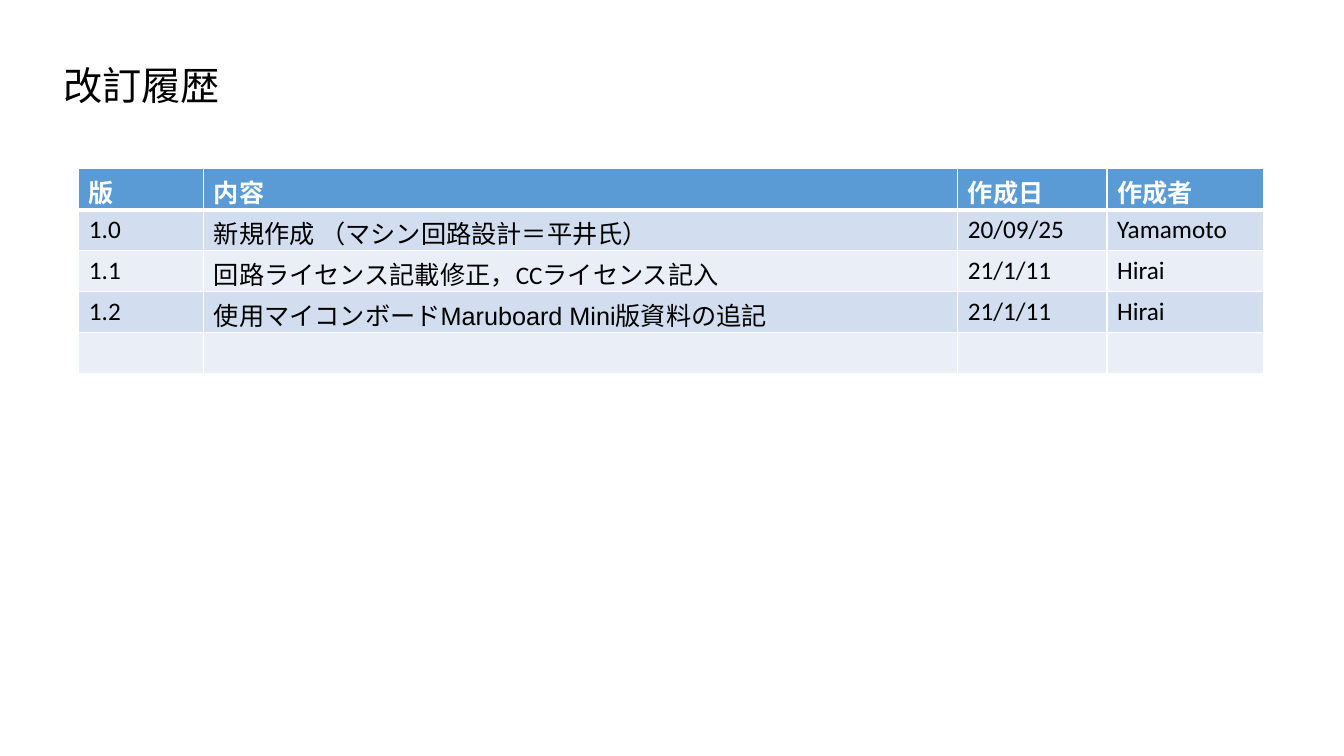
from lxml import etree
from pptx import Presentation
from pptx import util as u
from pptx.dml.color import RGBColor
from pptx.enum import text
from pptx.oxml.ns import qn

Pt = u.Pt

BLACK, WHITE = "000000", "FFFFFF"
HEADER_FILL = "5B9BD5"
BAND_FILLS = ("D2DEEF", "EAEFF7")

COLUMN_WIDTHS = (89.3, 538.6, 106.6, 111.6)
ROW_HEIGHT = 29.3
REVISIONS = (
    ("版", "内容", "作成日", "作成者"),
    ("1.0", "新規作成 （マシン回路設計＝平井氏）", "20/09/25", "Yamamoto"),
    ("1.1", "回路ライセンス記載修正，CCライセンス記入", "21/1/11", "Hirai"),
    ("1.2", "使用マイコンボードMaruboard Mini版資料の追記", "21/1/11", "Hirai"),
    ("", "", "", ""),
)
PRODUCT_ENTRY = (3, 1)


def rgb(hex_string):
    return RGBColor.from_string(hex_string)


def write(frame, words, size=18, font="Calibri", color=BLACK, bold=False):
    paragraph = frame.paragraphs[0]
    paragraph.font.size = Pt(size)
    if not words:
        return
    run = paragraph.add_run()
    run.text = words
    run.font.size = Pt(size)
    run.font.name = font
    run.font.bold = bold
    run.font.color.rgb = rgb(color)


def add_heading(slide, words):
    heading = slide.shapes.add_textbox(Pt(38.2), Pt(40.3), Pt(127.4), Pt(41))
    frame = heading.text_frame
    frame.word_wrap = False
    frame.auto_size = text.MSO_AUTO_SIZE.SHAPE_TO_FIT_TEXT
    write(frame, words, size=28)


def set_borders(cell, **widths):
    """Draw white borders; keys are the edges L, R, T and B in schema order."""
    properties = cell._tc.get_or_add_tcPr()
    for position, (edge, width) in enumerate(widths.items()):
        line = etree.Element(qn(f"a:ln{edge}"), w=str(Pt(width)))
        fill = etree.SubElement(line, qn("a:solidFill"))
        etree.SubElement(fill, qn("a:srgbClr"), val=WHITE)
        properties.insert(position, line)


def add_history_table(slide):
    row_count = len(REVISIONS)
    history = slide.shapes.add_table(
        row_count, len(COLUMN_WIDTHS), Pt(56.3), Pt(120.5),
        Pt(sum(COLUMN_WIDTHS)), Pt(ROW_HEIGHT * row_count)).table
    for column, width in zip(history.columns, COLUMN_WIDTHS):
        column.width = Pt(width)

    for r, revision in enumerate(REVISIONS):
        history.rows[r].height = Pt(ROW_HEIGHT)
        is_header = r == 0
        for c, words in enumerate(revision):
            cell = history.cell(r, c)
            cell.fill.solid()
            cell.fill.fore_color.rgb = rgb(
                HEADER_FILL if is_header else BAND_FILLS[(r - 1) % 2])
            set_borders(cell, L=1, R=1, T=3 if r == 1 else 1,
                        B=3 if is_header else 1)
            write(cell.text_frame, words, bold=is_header,
                  color=WHITE if is_header else BLACK,
                  font="Arial" if (r, c) == PRODUCT_ENTRY else "Calibri")


def main():
    deck = Presentation()
    deck.slide_width, deck.slide_height = Pt(960), Pt(540)
    slide = deck.slides.add_slide(deck.slide_layouts[6])
    add_heading(slide, "改訂履歴")
    add_history_table(slide)
    deck.save("out.pptx")


if __name__ == "__main__":
    main()
